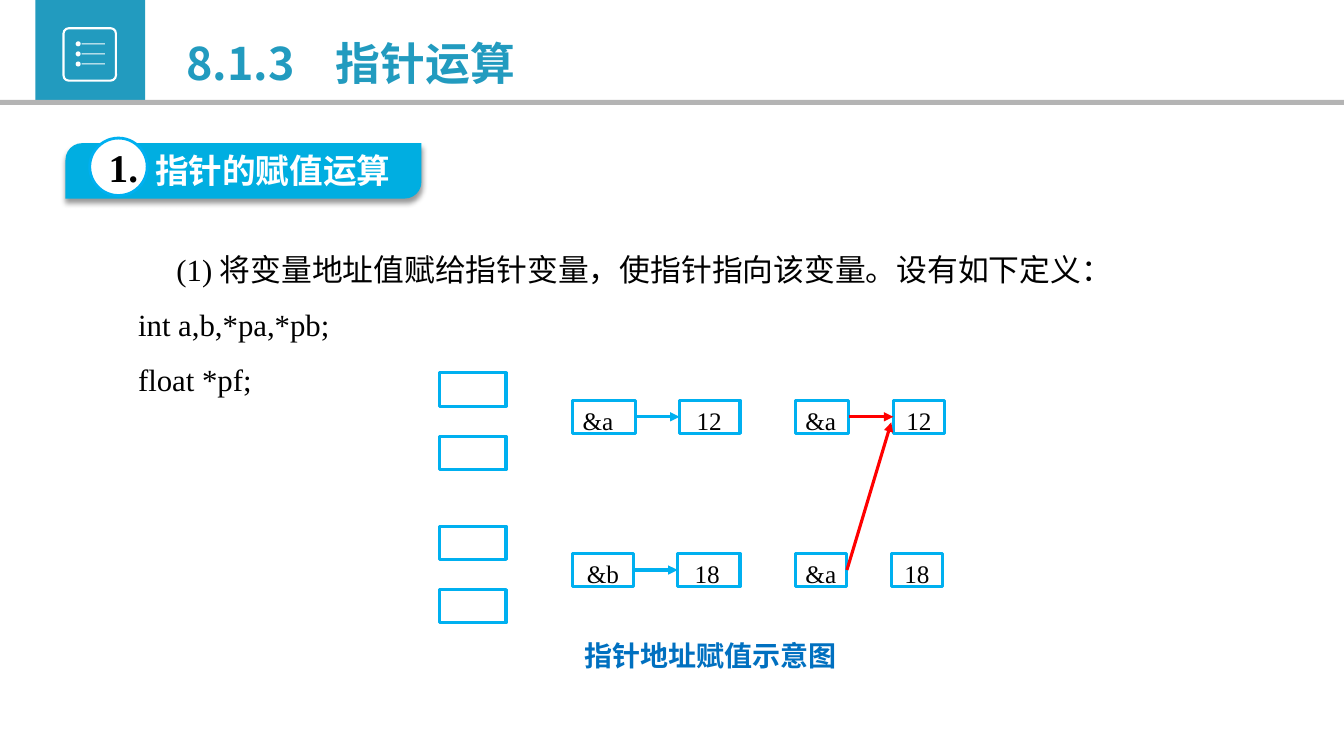
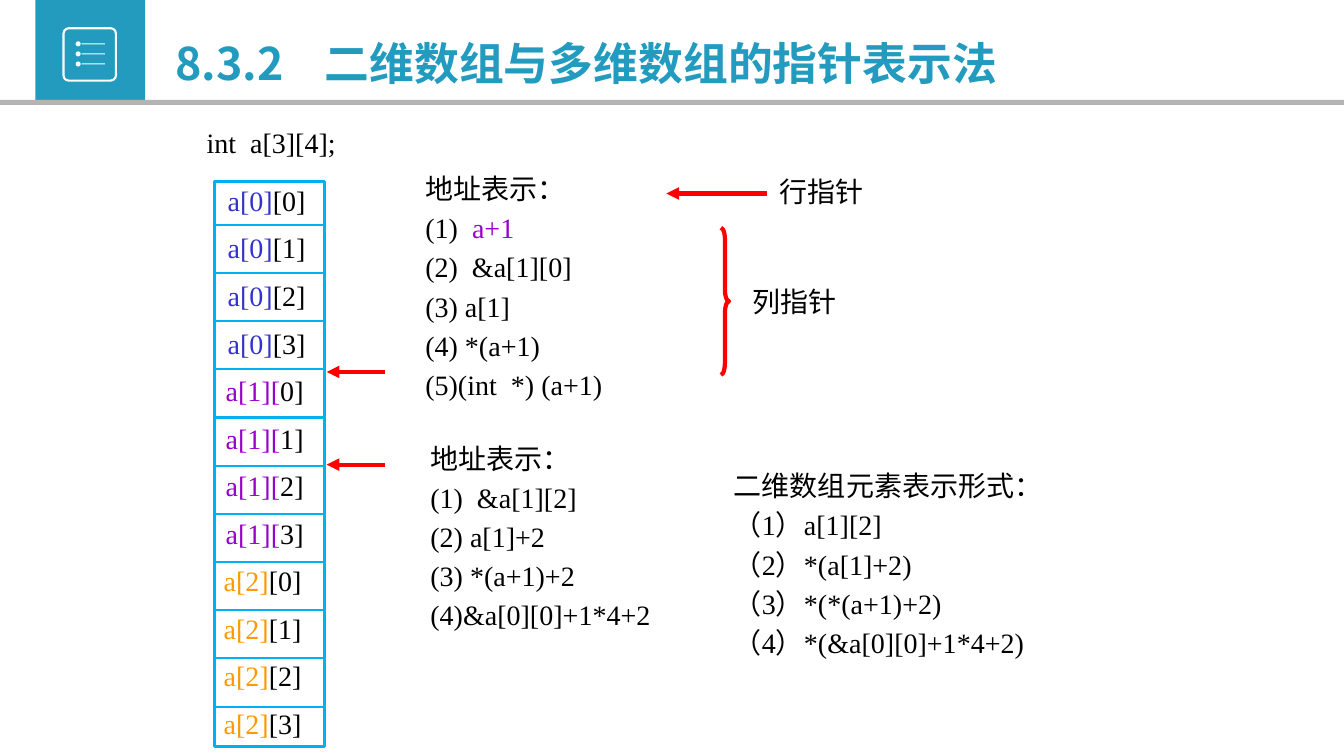
from dataclasses import dataclass
from typing import NamedTuple, Optional

from lxml import etree
from pptx import Presentation
from pptx.dml.color import RGBColor
from pptx.enum import shapes, text
from pptx.oxml.ns import qn
from pptx.util import Inches, Pt

TEAL = RGBColor(0x22, 0x9B, 0xBF)
GRAY = RGBColor(0xB4, 0xB4, 0xB4)
WHITE = RGBColor(0xFF, 0xFF, 0xFF)
BLACK = RGBColor(0, 0, 0)
BANNER = RGBColor(0x00, 0xAE, 0xE1)
SKY = RGBColor(0x00, 0xB0, 0xF0)
BLUE = RGBColor(0x00, 0x70, 0xC0)
RED = RGBColor(0xFF, 0, 0)
INDIGO = RGBColor(0x33, 0x33, 0xCC)
PURPLE = RGBColor(0x99, 0x00, 0xCC)
ORANGE = RGBColor(0xFF, 0x99, 0x00)

SERIF = "Times New Roman"
SANS = "Noto Sans CJK SC"
SHAPE = shapes.MSO_SHAPE
ALIGN = text.PP_ALIGN
ANCHOR = text.MSO_ANCHOR


class Box(NamedTuple):
    left: float
    top: float
    width: float
    height: float


class Point(NamedTuple):
    x: float
    y: float


class Span(NamedTuple):
    text: str
    color: RGBColor


@dataclass(frozen=True)
class Style:
    size: float = 20
    font: str = SERIF
    color: RGBColor = BLACK
    bold: bool = False
    align: ALIGN = ALIGN.LEFT
    before: float = 0
    spacing: Optional[float] = None


@dataclass(frozen=True)
class Cell:
    left: float
    top: float
    width: float
    text: str = ""
    align: ALIGN = ALIGN.JUSTIFY
    indent: float = 0


TITLE = Style(32, SANS, TEAL, True)
LISTING = Style(before=4)
POINTER_NAME = Style(align=ALIGN.CENTER, before=4)


def place(sp, box: Box) -> None:
    sp.left, sp.top, sp.width, sp.height = (Inches(v) for v in box)


def format_run(r, style: Style, color: RGBColor) -> None:
    f = r.font
    f.size, f.bold, f.name = Pt(style.size), style.bold, style.font
    f.color.rgb = color
    ea = etree.SubElement(r._r.get_or_add_rPr(), qn("a:ea"))
    ea.set("typeface", SANS)


def write(tf, lines: list, style: Style) -> None:
    for i, line in enumerate(lines):
        p = tf.add_paragraph() if i else tf.paragraphs[0]
        spans = [Span(line, style.color)] if isinstance(line, str) else line
        p.alignment = style.align
        p.space_before = Pt(style.before)
        if style.spacing:
            p.line_spacing = style.spacing
        for span in spans:
            r = p.add_run()
            r.text = span.text
            format_run(r, style, span.color)


def add_text(s, box: Box, lines: list, style: Style,
             anchor: ANCHOR = ANCHOR.TOP, wrap: bool = False):
    sp = s.shapes.add_textbox(*(Inches(v) for v in box))
    tf = sp.text_frame
    tf.word_wrap, tf.vertical_anchor = wrap, anchor
    write(tf, lines, style)
    return sp


def add_shape(s, kind: SHAPE, box: Box, fill: Optional[RGBColor] = None,
              line: Optional[RGBColor] = None, weight: float = 1.5):
    sp = s.shapes.add_shape(kind, *(Inches(v) for v in box))
    sp.shadow.inherit = False
    if fill is None:
        sp.fill.background()
    else:
        sp.fill.solid()
        sp.fill.fore_color.rgb = fill
    if line is None:
        sp.line.fill.background()
    else:
        sp.line.color.rgb = line
        sp.line.width = Pt(weight)
    return sp


def add_line(s, start: Point, end: Point, color: RGBColor,
             weight: float, arrow: bool = False):
    ends = (Inches(v) for v in (*start, *end))
    c = s.shapes.add_connector(shapes.MSO_CONNECTOR.STRAIGHT, *ends)
    c.line.color.rgb = color
    c.line.width = Pt(weight)
    if arrow:
        tail = etree.SubElement(c.line._get_or_add_ln(), qn("a:tailEnd"))
        tail.set("type", "triangle")
    etree.SubElement(c._element.spPr, qn("a:effectLst"))
    return c


def add_drop_shadow(sp) -> None:
    effects = sp._element.spPr.find(qn("a:effectLst"))
    outer = etree.SubElement(effects, qn("a:outerShdw"), blurRad=str(Pt(4)),
                             dist=str(Pt(3)), dir="5400000", rotWithShape="0")
    color = etree.SubElement(outer, qn("a:srgbClr"), val="000000")
    etree.SubElement(color, qn("a:alpha"), val="40000")


def add_titled_slide(prs, number: str, title: str, box: Box):
    s = prs.slides.add_slide(prs.slide_layouts[5])
    add_shape(s, SHAPE.RECTANGLE, Box(0.35, 0, 1.09, 0.99), TEAL)
    icon = add_shape(s, SHAPE.ROUNDED_RECTANGLE, Box(0.63, 0.28, 0.52, 0.52), line=WHITE)
    icon.adjustments[0] = 0.1
    for i in range(3):
        top = 0.41 + 0.1 * i
        add_shape(s, SHAPE.OVAL, Box(0.75, top, 0.05, 0.05), WHITE)
        add_shape(s, SHAPE.RECTANGLE, Box(0.81, top + 0.02, 0.23, 0.01), WHITE)
    add_shape(s, SHAPE.RECTANGLE, Box(0, 0.99, 13.33, 0.05), GRAY)
    sp = s.shapes.title
    place(sp, box)
    tf = sp.text_frame
    tf.word_wrap, tf.vertical_anchor = True, ANCHOR.MIDDLE
    tf.auto_size = text.MSO_AUTO_SIZE.NONE
    write(tf, [f"{number}\t{title}"], TITLE)
    pPr = tf.paragraphs[0]._p.get_or_add_pPr()
    tabs = etree.SubElement(pPr, qn("a:tabLst"))
    etree.SubElement(tabs, qn("a:tab"), pos=str(Inches(1.48)), algn="l")
    return s


def add_section_banner(s, number: str, heading: str) -> None:
    band = add_shape(s, SHAPE.ROUND_2_DIAG_RECTANGLE, Box(0.65, 1.42, 3.53, 0.55), BANNER)
    band.adjustments[0], band.adjustments[1] = 0.3, 0
    add_drop_shadow(band)
    add_shape(s, SHAPE.OVAL, Box(0.89, 1.37, 0.57, 0.57), WHITE, SKY, 2)
    add_text(s, Box(0.98, 1.37, 0.51, 0.57), [number], Style(28, bold=True))
    add_text(s, Box(1.44, 1.44, 2.6, 0.5), [heading],
             Style(24, "Calibri", WHITE, True), wrap=True)


def add_cell(s, cell: Cell):
    box = Box(cell.left, cell.top, cell.width, 0.33)
    sp = add_shape(s, SHAPE.RECTANGLE, box, WHITE, SKY, 2.25)
    if cell.text:
        tf = sp.text_frame
        tf.vertical_anchor = ANCHOR.TOP
        write(tf, [cell.text], Style(18, align=cell.align))
        tf.paragraphs[0]._p.get_or_add_pPr().set("indent", str(Inches(cell.indent)))
    return sp


def link(s, source, target, color: RGBColor) -> None:
    c = add_line(s, Point(0, 0), Point(1, 1), color, 2.25, True)
    c.begin_connect(source, 3)
    c.end_connect(target, 1)


def build_assignment(prs) -> None:
    s = add_titled_slide(prs, "8.1.3", "指针运算", Box(1.75, 0.3, 4, 0.64))
    add_section_banner(s, "1.", "指针的赋值运算")

    sp = add_text(s, Box(1.07, 2.26, 10.26, 1.74), [
        "(1) 将变量地址值赋给指针变量，使指针指向该变量。设有如下定义：",
        "int a,b,*pa,*pb;",
        "float *pf;",
    ], Style(22, spacing=1.5), wrap=True)
    tf = sp.text_frame
    tf.margin_left = tf.margin_right = Inches(0.07)
    tf.margin_top = tf.margin_bottom = Inches(0.04)
    for p, indent in zip(tf.paragraphs, (0.38, 0, 0)):
        pPr = p._p.get_or_add_pPr()
        pPr.set("marL", str(Inches(0.23)))
        pPr.set("indent", str(Inches(indent)))

    for top in (3.7, 4.33, 5.22, 5.85):
        add_cell(s, Cell(4.36, top, 0.66))

    upper, lower = 3.97, 5.49
    pairs = [
        (Cell(5.68, upper, 0.62, "&a"), Cell(6.74, upper, 0.6, "12", indent=0.07), SKY),
        (Cell(5.68, lower, 0.6, "&b", ALIGN.CENTER),
         Cell(6.72, lower, 0.62, "18", indent=0.07), SKY),
        (Cell(7.89, upper, 0.53, "&a"), Cell(8.86, upper, 0.51, "12", ALIGN.CENTER), RED),
    ]
    for pointer, variable, color in pairs:
        link(s, add_cell(s, pointer), add_cell(s, variable), color)

    redirected = add_cell(s, Cell(7.89, lower, 0.51, "&a"))
    add_cell(s, Cell(8.84, lower, 0.51, "18", ALIGN.CENTER))
    c = add_line(s, Point(8.4, 5.64), Point(8.84, 4.19), RED, 2.25, True)
    c.begin_connect(redirected, 3)

    add_text(s, Box(5.7, 6.29, 2.73, 0.44), ["指针地址赋值示意图"],
             Style(20, SANS, BLUE, True))


def add_array_column(s) -> None:
    add_shape(s, SHAPE.RECTANGLE, Box(2.13, 1.8, 1.09, 5.61), line=SKY, weight=2.25)
    rows, columns = 3, 4
    count = rows * columns
    first_rule, last_rule = 2.23, 7.01
    rule_step = (last_rule - first_rule) / (count - 2)
    for i in range(count - 1):
        y = first_rule + rule_step * i
        add_line(s, Point(2.13, y), Point(3.22, y), SKY, 1.5)

    first_label, last_label = 1.77, 6.96
    label_step = (last_label - first_label) / (count - 1)
    prefixes = [Span("a[0]", INDIGO), Span("a[1][", PURPLE), Span("a[2]", ORANGE)]
    for i in range(count):
        row, column = divmod(i, columns)
        prefix = prefixes[row]
        rest = f"a[{row}][{column}]"[len(prefix.text):]
        box = Box(2.16 - 0.02 * row, first_label + label_step * i, 0.98, 0.44)
        add_text(s, box, [[prefix, Span(rest, BLACK)]], LISTING)


def build_two_dimensional(prs) -> None:
    s = add_titled_slide(prs, "8.3.2", "二维数组与多维数组的指针表示法",
                         Box(1.64, 0.3, 9, 0.64))
    add_text(s, Box(1.95, 1.2, 1.49, 0.44), ["int  a[3][4];"], LISTING)
    add_array_column(s)

    add_text(s, Box(7.18, 4.6, 3.38, 2.05), [
        "二维数组元素表示形式：", "（1）a[1][2]", "（2）*(a[1]+2)",
        "（3）*(*(a+1)+2)", "（4）*(&a[0][0]+1*4+2)",
    ], LISTING)
    add_text(s, Box(4.12, 1.61, 1.96, 2.46), [
        "地址表示：", [Span("(1)  ", BLACK), Span("a+1", PURPLE)],
        "(2)  &a[1][0]", "(3) a[1]", "(4) *(a+1)", "(5)(int  *) (a+1)",
    ], LISTING, ANCHOR.MIDDLE)
    add_text(s, Box(4.17, 4.29, 2.4, 2.06), [
        "地址表示：", "(1)  &a[1][2]", "(2) a[1]+2", "(3) *(a+1)+2",
        "(4)&a[0][0]+1*4+2",
    ], LISTING, ANCHOR.MIDDLE)

    for right, left, y in ((7.61, 6.61, 1.92), (3.82, 3.24, 3.69), (3.82, 3.24, 4.61)):
        add_line(s, Point(right, y), Point(left, y), RED, 3, True)
    brace = add_shape(s, SHAPE.RIGHT_BRACE, Box(7.15, 2.26, 0.08, 1.46), line=RED, weight=3)
    brace.adjustments[0], brace.adjustments[1] = 1.46, 0.5
    for name, left, top in (("行指针", 7.63, 1.68), ("列指针", 7.36, 2.77)):
        add_text(s, Box(left, top, 1.04, 0.44), [name], POINTER_NAME, ANCHOR.MIDDLE)


def main() -> None:
    prs = Presentation()
    prs.slide_width, prs.slide_height = Inches(13.33), Inches(7.5)
    build_assignment(prs)
    build_two_dimensional(prs)
    prs.save("out.pptx")


if __name__ == "__main__":
    main()
